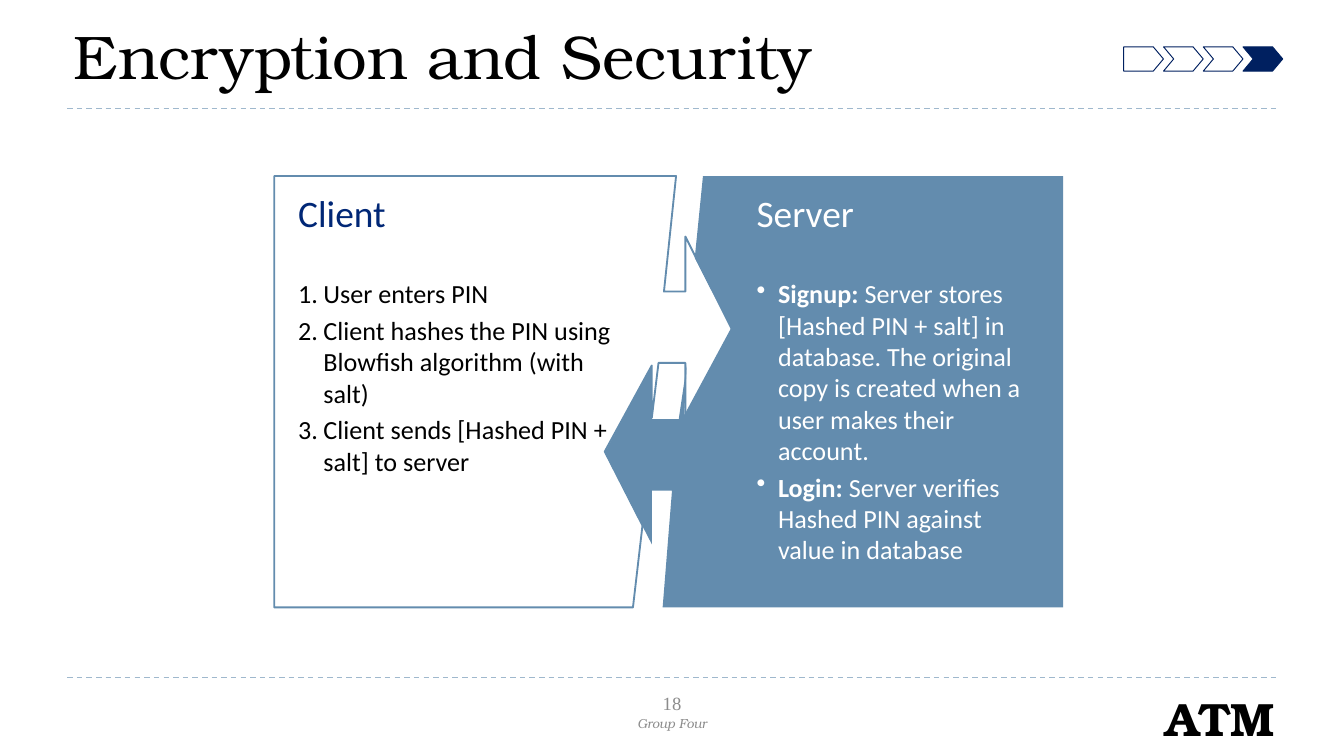
"""Build the Encryption and Security slide."""
from lxml.etree import SubElement
from pptx import Presentation
from pptx.dml.color import RGBColor as Rgb
from pptx.enum.dml import MSO_LINE as Dash
from pptx.enum.shapes import MSO_CONNECTOR as Link, MSO_SHAPE as Kind
from pptx.enum.text import MSO_ANCHOR as Anchor, PP_ALIGN as Align
from pptx.oxml.ns import qn
from pptx.util import Pt

SERIF, SANS, ROMAN = "TeX Gyre Bonum", "Calibri", "Times New Roman"
BLACK, WHITE, GREY = "000000", "FFFFFF", "8C8C8C"
BLUE, NAVY, INK, RULE = "638CAE", "002060", "002776", "9FB8CD"

CLIENT = [(192.2, 231.1), (0, 231.1), (0, 0), (215.3, 0), (208.8, 61.9),
          (220.3, 61.9), (220.3, 32.4), (245.5, 82.8), (220.3, 129.6),
          (220.3, 100.1), (205.9, 100.1), (202.3, 129.6), (202.3, 101.5),
          (177.1, 147.6), (197.3, 187.2)]
SERVER = [(52.6, 0), (245.5, 0), (245.5, 231.1), (31, 231.1), (36, 168.5),
          (25.2, 168.5), (25.2, 197.3), (0, 148.3), (25.2, 101.5),
          (25.2, 130.3), (39.6, 130.3), (43.9, 101.5), (42.5, 128.2),
          (67.7, 81.4), (48.2, 43.9)]
STEPS = [[("User enters PIN", False)],
         [("Client hashes the PIN using Blowfish algorithm (with salt)", False)],
         [("Client sends [Hashed PIN + salt] to server", False)]]
CHECKS = [[("Signup: ", True),
           ("Server stores [Hashed PIN + salt] in database. The original copy "
            "is created when a user makes their account.", False)],
          [("Login:", True),
           (" Server verifies Hashed PIN against value in database", False)]]


def paint(part, tone):
    """Give a fill or font colour format a hex colour."""
    part.rgb = Rgb.from_string(tone)


def style(thing, form):
    """Set each attribute named in a dict of format values."""
    for name, value in form.items():
        setattr(thing, name, value)


def write(para, text, tone, **form):
    """Add one run with its colour and font values."""
    run = para.add_run()
    run.text = text
    style(run.font, form)
    paint(run.font.color, tone)


def frame(slide, box, **form):
    """Add a wrapping text box and return its frame."""
    body = slide.shapes.add_textbox(*map(Pt, box)).text_frame
    style(body, {"word_wrap": True, **form})
    return body


def label(slide, box, text, tone, align, anchor, **form):
    """Add a text box that holds one line."""
    para = frame(slide, box, vertical_anchor=anchor).paragraphs[0]
    para.alignment = align
    write(para, text, tone, **form)


def finish(shape, fill, line, width):
    """Set fill and outline of a shape, or leave either out."""
    shape.shadow.inherit = False
    if fill:
        shape.fill.solid()
        paint(shape.fill.fore_color, fill)
    else:
        shape.fill.background()
    if line:
        shape.line.width = Pt(width)
        paint(shape.line.color, line)
    else:
        shape.line.fill.background()


def rule(slide, left, top, width):
    """Draw a dashed line across the slide."""
    line = slide.shapes.add_connector(
        Link.STRAIGHT, Pt(left), Pt(top), Pt(left + width), Pt(top))
    style(line.line, {"width": Pt(0.75), "dash_style": Dash.DASH})
    paint(line.line.color, RULE)
    SubElement(line._element.spPr, qn("a:effectLst"))


def track(slide, box, count, now):
    """Draw the progress arrows with the current one filled."""
    left, top, width, height = box
    step = width / count
    for i in range(count):
        kind = Kind.CHEVRON if i else Kind.PENTAGON
        mark = slide.shapes.add_shape(
            kind, Pt(left + i * step), Pt(top), Pt(step), Pt(height))
        mark.adjustments[0] = 0.42
        finish(mark, NAVY if i == now else None, NAVY, 0.5)


def panel(slide, left, top, points, fill, line):
    """Draw one interlocking outline from points relative to its corner."""
    spots = [(Pt(left + x), Pt(top + y)) for x, y in points]
    build = slide.shapes.build_freeform(*spots[0])
    build.add_line_segments(spots[1:], close=True)
    finish(build.convert_to_shape(), fill, line, 1)


def listing(slide, box, head, tone, items, ink, indent, bullet):
    """Write a heading and its list in one text box."""
    body = frame(slide, box)
    para = body.paragraphs[0]
    para.space_after = Pt(22.6)
    write(para, head, tone, size=Pt(20), name=SANS)
    tag, values = bullet
    for item in items:
        para = body.add_paragraph()
        para.space_after = Pt(2.8)
        props = para._p.get_or_add_pPr()
        props.set("marL", str(Pt(indent)))
        props.set("indent", str(-Pt(indent)))
        SubElement(props, qn(tag), values)
        for text, bold in item:
            write(para, text, ink, size=Pt(14), name=SANS, bold=bold)


def header(slide, left, top, width):
    """Place the title, the progress arrows and the upper rule."""
    label(slide, (left - 3.6, top, width, 43.2), "Encryption and Security",
          BLACK, Align.LEFT, Anchor.MIDDLE, size=Pt(33), name=SERIF)
    track(slide, (left + 566, top + 17.2, 85.2, 13), 4, 3)
    rule(slide, left, top + 50.4, width)


def footer(slide, left, top, width):
    """Place the lower rule, the page number, the group and the mark."""
    rule(slide, left, top, width)
    mid = left + width / 2
    label(slide, (mid - 121.7, top + 13.7, 243.4, 21.6), "Group Four", GREY,
          Align.CENTER, Anchor.MIDDLE, size=Pt(7), name=SERIF, italic=True)
    label(slide, (mid - 13.7, top + 5, 27.4, 17.3), "18", GREY,
          Align.CENTER, Anchor.MIDDLE, size=Pt(10), name=ROMAN)
    label(slide, (left + 573.1, top + 2.9, 89.3, 37.4), "ATM", BLACK,
          Align.CENTER, Anchor.TOP, size=Pt(25), name=SERIF, bold=True)


def diagram(slide, left, top):
    """Place the client and server panels with their lists."""
    panel(slide, left, top, CLIENT, WHITE, BLUE)
    panel(slide, left + 177.1, top, SERVER, BLUE, None)
    listing(slide, (left + 5.8, top + 4.3, 182.9, 221.8), "Client", INK,
            STEPS, BLACK, 13.5, ("a:buAutoNum", {"type": "arabicPeriod"}))
    listing(slide, (left + 251.3, top + 4.3, 166.3, 223.2), "Server", WHITE,
            CHECKS, WHITE, 11.5, ("a:buChar", {"char": "•"}))


def main():
    """Build and save the slide."""
    deck = Presentation()
    style(deck, {"slide_width": Pt(720), "slide_height": Pt(405)})
    slide = deck.slides.add_slide(deck.slide_layouts[6])
    header(slide, 36, 7.9, 648)
    footer(slide, 36, 362.9, 648)
    diagram(slide, 146.9, 94.3)
    deck.save("out.pptx")


if __name__ == "__main__":
    main()
